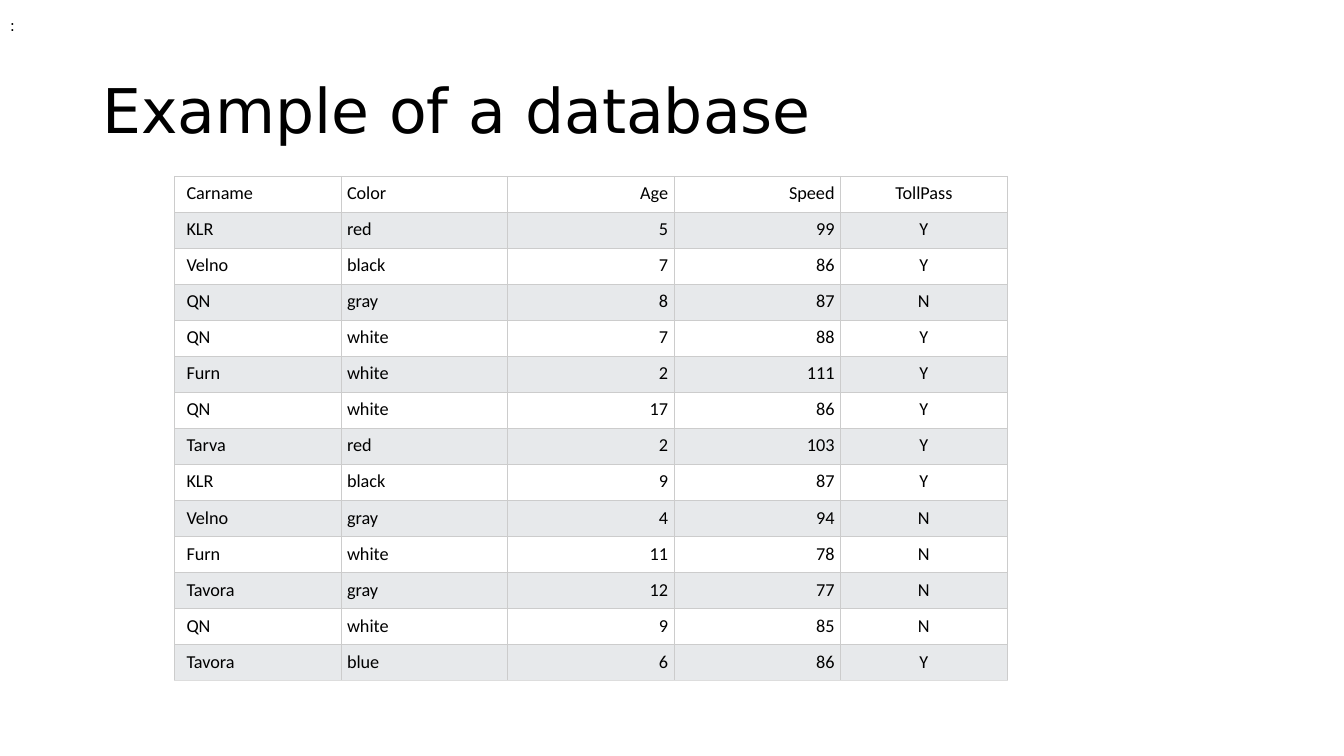
from lxml.etree import SubElement as Sub
from pptx import Presentation
from pptx.dml.color import RGBColor
from pptx.enum.text import MSO_ANCHOR as Anchor, PP_ALIGN as Align
from pptx.oxml.ns import qn
from pptx.util import Inches, Pt

WIDE, HIGH = Inches(13.33), Inches(7.5)
INK, WHITE, BAND, EDGE, BASE = "000000", "FFFFFF", "E7E9EB", "CCCCCC", "DDDDDD"
HEADS = ["Carname", "Color", "Age", "Speed", "TollPass"]
CARS = [
    ["KLR", "red", 5, 99, "Y"],
    ["Velno", "black", 7, 86, "Y"],
    ["QN", "gray", 8, 87, "N"],
    ["QN", "white", 7, 88, "Y"],
    ["Furn", "white", 2, 111, "Y"],
    ["QN", "white", 17, 86, "Y"],
    ["Tarva", "red", 2, 103, "Y"],
    ["KLR", "black", 9, 87, "Y"],
    ["Velno", "gray", 4, 94, "N"],
    ["Furn", "white", 11, 78, "N"],
    ["Tavora", "gray", 12, 77, "N"],
    ["QN", "white", 9, 85, "N"],
    ["Tavora", "blue", 6, 86, "Y"],
]
ALIGNS = [Align.LEFT, Align.LEFT, Align.RIGHT, Align.RIGHT, Align.CENTER]


def color(code):
    return RGBColor.from_string(code)


def place(left, top, width, height):
    """Turn percentages of the slide into lengths."""
    return [int(share * side / 100) for share, side in
            ((left, WIDE), (top, HIGH), (width, WIDE), (height, HIGH))]


def write(frame, text, size, font, align=Align.LEFT):
    frame.text = str(text)
    para = frame.paragraphs[0]
    para.alignment = align
    style = para.runs[0].font
    style.size, style.name = Pt(size), font
    style.color.rgb = color(INK)
    return para


def add_text(slide, area, text, size, wrap=True):
    frame = slide.shapes.add_textbox(*place(*area)).text_frame
    frame.word_wrap = wrap
    frame.vertical_anchor = Anchor.MIDDLE
    return write(frame, text, size, "DejaVu Sans")


def border(cell, last):
    props = cell._tc.get_or_add_tcPr()
    for spot, side in enumerate("LRTB"):
        line = Sub(props, qn(f"a:ln{side}"), w=str(Pt(0.75)))
        fill = Sub(line, qn("a:solidFill"))
        Sub(fill, qn("a:srgbClr"), val=BASE if last and side == "B" else EDGE)
        props.insert(spot, line)


def add_grid(slide, area, rows):
    left, top, width, height = place(*area)
    grid = slide.shapes.add_table(
        len(rows), len(HEADS), left, top, width, height).table
    for y, row in enumerate(rows):
        for x, value in enumerate(row):
            cell = grid.cell(y, x)
            cell.margin_left = Inches(0.06 if x else 0.12)
            cell.margin_right = cell.margin_top = cell.margin_bottom = Inches(0.06)
            cell.fill.solid()
            cell.fill.fore_color.rgb = color(BAND if y % 2 else WHITE)
            write(cell.text_frame, value, 13, "Calibri", ALIGNS[x])
            border(cell, y == len(rows) - 1)


def main():
    deck = Presentation()
    deck.slide_width, deck.slide_height = WIDE, HIGH
    slide = deck.slides.add_slide(deck.slide_layouts[6])

    # Title
    title = add_text(slide, (6.9, 5.33, 86.27, 19.33), "Example of a database", 44)
    title.line_spacing = 0.9

    # Table of cars
    add_grid(slide, (12.98, 23.33, 61.95, 66.8), [HEADS] + CARS)

    # Corner mark
    add_text(slide, (0, 1.47, 2.03, 3.87), ":", 11, wrap=False)

    deck.save("out.pptx")


if __name__ == "__main__":
    main()
